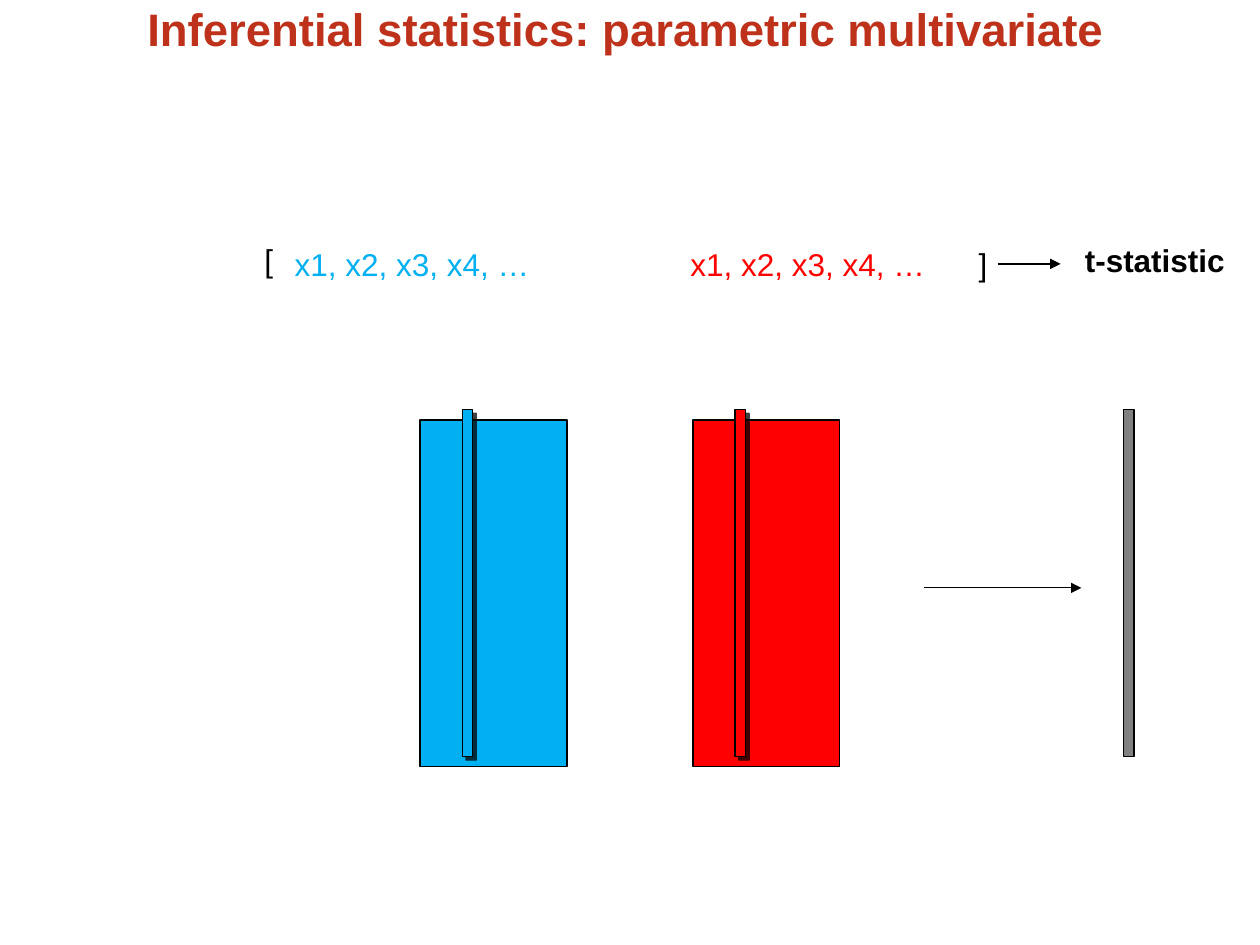
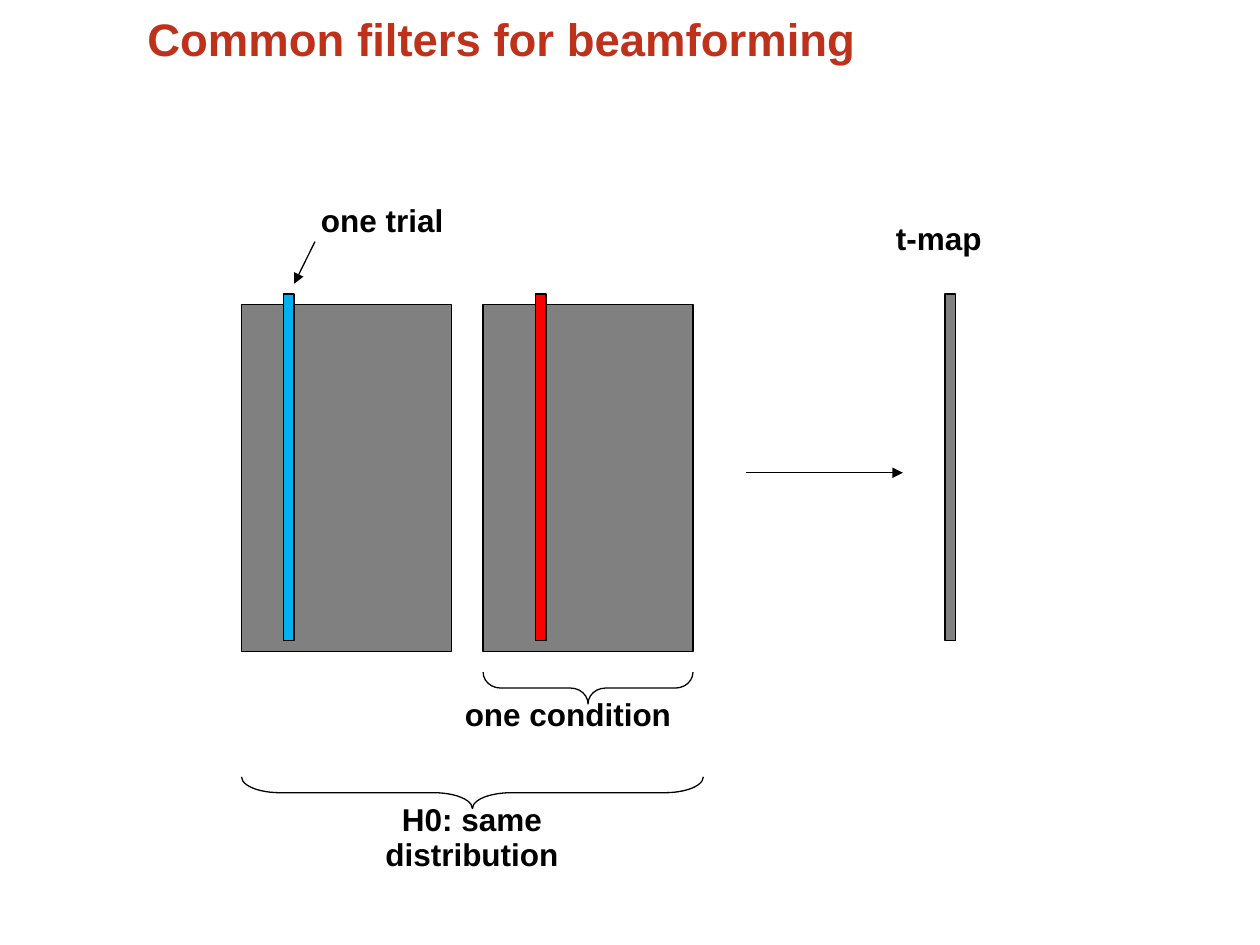
from dataclasses import dataclass

from lxml.etree import SubElement
from pptx import Presentation
from pptx.dml.color import RGBColor
from pptx.enum.shapes import MSO_CONNECTOR, MSO_SHAPE
from pptx.enum.text import MSO_ANCHOR, MSO_AUTO_SIZE, PP_ALIGN
from pptx.oxml.ns import qn
from pptx.util import Cm, Pt

# Shared style, lengths in centimetres
COLOURS = {
    "title": "BE311A",
    "black": "000000",
    "blue": "00B0F0",
    "red": "FF0000",
    "grey": "808080",
}
FONT = "Arial"
LINE_SPACING = 0.92
LINE_WIDTH = Pt(0.75)
DATA_HEIGHT = 6.99
BAR_WIDTH = 0.21
BAR_RISE = 0.21
LABEL_HEIGHT = 0.97
BRACE_DEPTH = 0.64


@dataclass
class Label:
    text: str
    left: float
    top: float
    width: float
    colour: str = "black"
    bold: bool = True
    align: PP_ALIGN = PP_ALIGN.LEFT


@dataclass
class Condition:
    """A block of trials with one trial picked out as a narrow bar."""
    left: float
    top: float
    width: float
    block_colour: str
    trial_colour: str
    trial_offset: float
    trial_shadow: bool = False


@dataclass
class Arrow:
    start_x: float
    start_y: float
    end_x: float
    end_y: float


@dataclass
class Brace:
    left: float
    top: float
    width: float


def colour(name: str) -> RGBColor:
    return RGBColor.from_string(COLOURS[name])


def format_paragraph(para, size: int, colour_name: str, bold: bool, align=PP_ALIGN.LEFT) -> None:
    para.alignment = align
    para.line_spacing = LINE_SPACING
    for span in para.runs:
        span.font.name = FONT
        span.font.size = Pt(size)
        span.font.bold = bold
        span.font.color.rgb = colour(colour_name)


def add_page(deck, title: str, title_top: float):
    page = deck.slides.add_slide(deck.slide_layouts[5])
    box = page.shapes.title
    box.left, box.top, box.width, box.height = Cm(2.97), Cm(title_top), Cm(19.89), Cm(2.03)
    frame = box.text_frame
    frame.text = title
    frame.auto_size = MSO_AUTO_SIZE.NONE
    frame.vertical_anchor = MSO_ANCHOR.TOP
    frame.margin_left = frame.margin_top = frame.margin_right = frame.margin_bottom = 0
    format_paragraph(frame.paragraphs[0], 26, "title", True)
    return page


def draw_label(page, label: Label) -> None:
    box = page.shapes.add_textbox(Cm(label.left), Cm(label.top), Cm(label.width), Cm(LABEL_HEIGHT))
    frame = box.text_frame
    frame.text = label.text
    frame.word_wrap = False
    frame.auto_size = MSO_AUTO_SIZE.SHAPE_TO_FIT_TEXT
    format_paragraph(frame.paragraphs[0], 18, label.colour, label.bold, label.align)


def draw_outline(shape) -> None:
    shape.shadow.inherit = False
    shape.line.color.rgb = colour("black")
    shape.line.width = LINE_WIDTH


def draw_data(page, left: float, top: float, width: float, fill: str):
    box = page.shapes.add_shape(MSO_SHAPE.RECTANGLE, Cm(left), Cm(top), Cm(width), Cm(DATA_HEIGHT))
    draw_outline(box)
    box.fill.solid()
    box.fill.fore_color.rgb = colour(fill)
    return box


def add_shadow(shape) -> None:
    effects = shape._element.spPr.find(qn("a:effectLst"))
    shadow = SubElement(effects, qn("a:outerShdw"), blurRad="0", dist=str(Pt(3)),
                        dir=str(45 * 60000), algn="ctr", rotWithShape="0")
    tint = SubElement(shadow, qn("a:srgbClr"), val=COLOURS["black"])
    SubElement(tint, qn("a:alpha"), val="75000")


def draw_condition(page, condition: Condition) -> None:
    draw_data(page, condition.left, condition.top, condition.width, condition.block_colour)
    trial = draw_data(page, condition.left + condition.trial_offset, condition.top - BAR_RISE,
                      BAR_WIDTH, condition.trial_colour)
    if condition.trial_shadow:
        add_shadow(trial)


def draw_arrow(page, arrow: Arrow) -> None:
    line = page.shapes.add_connector(MSO_CONNECTOR.STRAIGHT, Cm(arrow.start_x), Cm(arrow.start_y),
                                     Cm(arrow.end_x), Cm(arrow.end_y))
    line.line.color.rgb = colour("black")
    line.line.width = LINE_WIDTH
    SubElement(line.line._get_or_add_ln(), qn("a:tailEnd"), type="triangle")
    SubElement(line._element.spPr, qn("a:effectLst"))


def draw_brace(page, brace: Brace) -> None:
    # A left brace turned so that it points down
    left = brace.left + (brace.width - BRACE_DEPTH) / 2
    top = brace.top - (brace.width - BRACE_DEPTH) / 2
    shape = page.shapes.add_shape(MSO_SHAPE.LEFT_BRACE, Cm(left), Cm(top),
                                  Cm(BRACE_DEPTH), Cm(brace.width))
    shape.rotation = 270
    shape.adjustments[0] = brace.width / 12 / BRACE_DEPTH
    shape.fill.background()
    draw_outline(shape)


def draw_parametric_page(deck) -> None:
    page = add_page(deck, "Inferential statistics: parametric multivariate", 0.13)

    # Samples that go into the statistic
    samples = "x1, x2, x3, x4, …"
    for label in (
        Label(samples, 5.69, 4.88, 5.23, "blue", bold=False),
        Label(samples, 13.67, 4.88, 5.23, "red", bold=False),
        Label("[", 5.08, 4.8, 0.69, bold=False),
        Label("]", 19.48, 4.88, 0.69, bold=False),
        Label("t-statistic", 21.62, 4.8, 3.33),
    ):
        draw_label(page, label)

    # Conditions and the resulting map
    for left, name in ((13.97, "red"), (8.47, "blue")):
        draw_condition(page, Condition(left, 8.47, 2.96, name, name, 0.85, trial_shadow=True))
    draw_data(page, 22.65, 8.26, BAR_WIDTH, "grey")
    draw_arrow(page, Arrow(18.63, 11.85, 21.8, 11.85))
    draw_arrow(page, Arrow(20.11, 5.32, 21.38, 5.32))


def draw_filters_page(deck) -> None:
    page = add_page(deck, "Common filters for beamforming", 0.33)

    # Conditions and the resulting map
    draw_condition(page, Condition(4.87, 6.14, 4.23, "grey", "blue", 0.85))
    draw_condition(page, Condition(9.74, 6.14, 4.23, "grey", "red", 1.06))
    draw_data(page, 19.05, 5.93, BAR_WIDTH, "grey")
    draw_arrow(page, Arrow(15.03, 9.53, 18.2, 9.53))
    draw_arrow(page, Arrow(6.35, 4.87, 5.93, 5.72))

    # Braces and labels
    draw_brace(page, Brace(9.74, 13.55, 4.23))
    draw_brace(page, Brace(4.87, 15.66, 9.31))
    for label in (
        Label("one trial", 6.22, 4.01, 2.97),
        Label("one condition", 9.12, 13.97, 4.67),
        Label("t-map", 17.81, 4.37, 2.24),
        Label("H0: same distribution", 6.02, 16.08, 6.99, align=PP_ALIGN.CENTER),
    ):
        draw_label(page, label)


def main() -> None:
    deck = Presentation()
    deck.slide_width, deck.slide_height = Cm(25.4), Cm(19.05)
    draw_parametric_page(deck)
    draw_filters_page(deck)
    deck.save("out.pptx")


if __name__ == "__main__":
    main()
